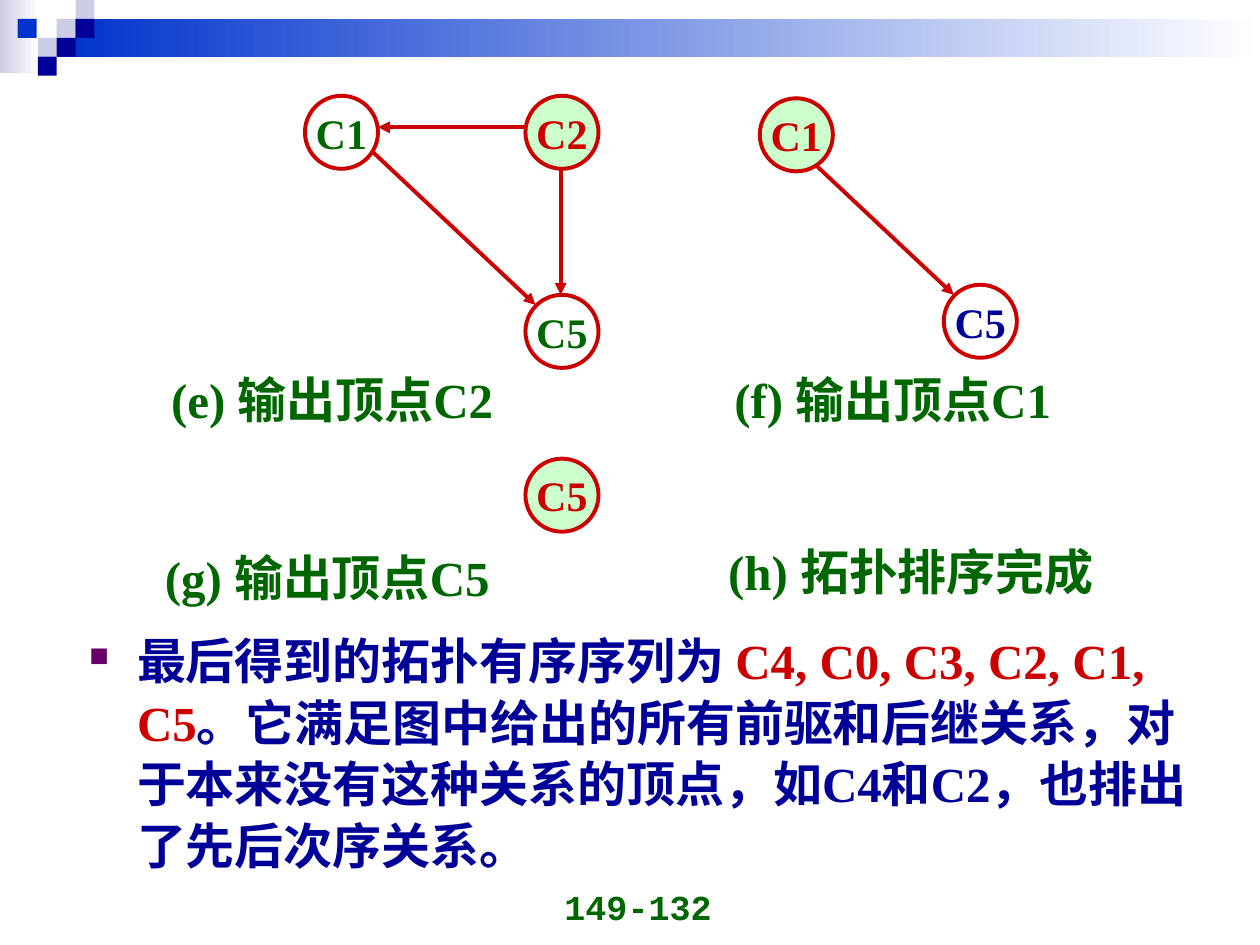
from dataclasses import dataclass

from lxml.etree import SubElement
from pptx import Presentation
from pptx.dml.color import RGBColor
from pptx.enum.shapes import MSO_CONNECTOR, MSO_SHAPE
from pptx.enum.text import MSO_ANCHOR, MSO_AUTO_SIZE, PP_ALIGN
from pptx.oxml.ns import qn
from pptx.util import Inches, Pt


@dataclass(frozen=True)
class Theme:
    white: str = "FFFFFF"
    lavender: str = "CCCCE6"
    blue: str = "0033CC"
    navy: str = "000099"
    green: str = "006600"
    mint: str = "CCFFCC"
    red: str = "CC0000"
    purple: str = "660066"
    serif: str = "Times New Roman"
    mono: str = "Courier New"
    page_size: int = 20
    vertex_size: int = 24
    text_size: int = 28
    line_width: float = 2.25


@dataclass(frozen=True)
class Tile:
    left: float
    top: float
    color: str


@dataclass(frozen=True)
class Vertex:
    label: str
    left: float
    top: float
    color: str
    fill: str


@dataclass(frozen=True)
class Edge:
    start: tuple[float, float]
    end: tuple[float, float]


@dataclass(frozen=True)
class Caption:
    text: str
    left: float
    top: float
    width: float


THEME = Theme()
TILE_SIDE = 0.15
VERTEX_DIAMETER = 0.58

TILES = [
    Tile(0.45, 0.15, THEME.lavender),
    Tile(0.6, 0, THEME.lavender),
    Tile(0.6, 0.15, THEME.navy),
    Tile(0.3, 0.3, THEME.lavender),
    Tile(0.14, 0.15, THEME.blue),
    Tile(0.45, 0.3, THEME.navy),
    Tile(0.3, 0.45, THEME.navy),
]
EDGES = [
    Edge((4.17, 1.01), (3, 1.01)),
    Edge((4.45, 1.34), (4.45, 2.34)),
    Edge((2.92, 1.17), (4.25, 2.42)),
    Edge((6.24, 1.09), (7.57, 2.34)),
]
VERTICES = [
    Vertex("C1", 2.42, 0.76, THEME.green, THEME.white),
    Vertex("C2", 4.17, 0.76, THEME.red, THEME.mint),
    Vertex("C5", 4.17, 2.34, THEME.green, THEME.white),
    Vertex("C5", 7.49, 2.26, THEME.navy, THEME.white),
    Vertex("C1", 6.03, 0.78, THEME.red, THEME.mint),
    Vertex("C5", 4.17, 3.64, THEME.red, THEME.mint),
]
CAPTIONS = [
    Caption("(e) 输出顶点C2", 1.26, 2.88, 2.96),
    Caption("(f) 输出顶点C1", 5.73, 2.88, 2.92),
    Caption("(g) 输出顶点C5", 1.21, 4.3, 2.98),
    Caption("(h) 拓扑排序完成", 5.68, 4.25, 3.21),
]
CONCLUSION = [
    ("最后得到的拓扑有序序列为 ", THEME.navy),
    ("C4, C0, C3, C2, C1, C5", THEME.red),
    ("。它满足图中给出的所有前驱和后继关系，对于本来没有这种关系的顶点，"
     "如C4和C2，也排出了先后次序关系。", THEME.navy),
]


def add_run(paragraph, text: str, size: int, color: str, font_name: str = THEME.serif) -> None:
    run = paragraph.add_run()
    run.text = text
    run.font.size = Pt(size)
    run.font.name = font_name
    run.font.bold = True
    run.font.color.rgb = RGBColor.from_string(color)


def add_plain_shape(slide, kind, left: float, top: float, width: float, height: float):
    shape = slide.shapes.add_shape(
        kind, Inches(left), Inches(top), Inches(width), Inches(height))
    shape.shadow.inherit = False
    shape.line.fill.background()
    return shape


def add_fade(slide, left: float, top: float, width: float, height: float, color: str) -> None:
    shape = add_plain_shape(slide, MSO_SHAPE.RECTANGLE, left, top, width, height)
    shape.fill.gradient()
    shape.fill.gradient_angle = 0
    for stop, position, stop_color in zip(
            shape.fill.gradient_stops, (0, 1), (color, THEME.white)):
        stop.position = position
        stop.color.rgb = RGBColor.from_string(stop_color)


def add_tile(slide, tile: Tile) -> None:
    shape = add_plain_shape(
        slide, MSO_SHAPE.RECTANGLE, tile.left, tile.top, TILE_SIDE, TILE_SIDE)
    shape.fill.solid()
    shape.fill.fore_color.rgb = RGBColor.from_string(tile.color)


def style_line(line) -> None:
    line.color.rgb = RGBColor.from_string(THEME.red)
    line.width = Pt(THEME.line_width)


def add_edge(slide, edge: Edge) -> None:
    connector = slide.shapes.add_connector(
        MSO_CONNECTOR.STRAIGHT, *map(Inches, edge.start + edge.end))
    style_line(connector.line)
    properties = connector._element.spPr
    SubElement(properties.find(qn("a:ln")), qn("a:tailEnd"), type="triangle")
    SubElement(properties, qn("a:effectLst"))


def add_vertex(slide, vertex: Vertex) -> None:
    shape = add_plain_shape(slide, MSO_SHAPE.OVAL, vertex.left, vertex.top,
                            VERTEX_DIAMETER, VERTEX_DIAMETER)
    shape.fill.solid()
    shape.fill.fore_color.rgb = RGBColor.from_string(vertex.fill)
    style_line(shape.line)
    frame = shape.text_frame
    frame.word_wrap = False
    frame.vertical_anchor = MSO_ANCHOR.MIDDLE
    frame.paragraphs[0].alignment = PP_ALIGN.CENTER
    add_run(frame.paragraphs[0], vertex.label, THEME.vertex_size, vertex.color)


def add_text_frame(slide, left: float, top: float, width: float, height: float, wrap: bool):
    box = slide.shapes.add_textbox(Inches(left), Inches(top), Inches(width), Inches(height))
    box.text_frame.word_wrap = wrap
    return box.text_frame


def add_caption(slide, caption: Caption) -> None:
    frame = add_text_frame(slide, caption.left, caption.top, caption.width, 0.57, False)
    frame.auto_size = MSO_AUTO_SIZE.SHAPE_TO_FIT_TEXT
    add_run(frame.paragraphs[0], caption.text, THEME.text_size, THEME.green)


def add_conclusion(slide) -> None:
    paragraph = add_text_frame(slide, 0.61, 4.93, 9, 2.24, True).paragraphs[0]
    properties = paragraph._p.get_or_add_pPr()
    properties.set("marL", str(Inches(0.38)))
    properties.set("indent", str(Inches(-0.38)))
    bullet_color = SubElement(properties, qn("a:buClr"))
    SubElement(bullet_color, qn("a:srgbClr"), val=THEME.purple)
    SubElement(properties, qn("a:buSzPct"), val="55000")
    SubElement(properties, qn("a:buChar"), char="■")
    paragraph.line_spacing = 1.05
    for text, color in CONCLUSION:
        add_run(paragraph, text, THEME.text_size, color)


def add_page_number(slide) -> None:
    frame = add_text_frame(slide, 3.9, 6.91, 2.33, 0.5, True)
    frame.vertical_anchor = MSO_ANCHOR.BOTTOM
    frame.paragraphs[0].alignment = PP_ALIGN.CENTER
    add_run(frame.paragraphs[0], "149-132", THEME.page_size, THEME.green, THEME.mono)


def main() -> None:
    presentation = Presentation()
    presentation.slide_width, presentation.slide_height = Inches(10), Inches(7.5)
    slide = presentation.slides.add_slide(presentation.slide_layouts[6])
    add_fade(slide, 0, 0, 0.31, 0.58, THEME.lavender)
    add_fade(slide, 0.45, 0.15, 9.55, 0.3, THEME.blue)
    for draw, items in ((add_tile, TILES), (add_edge, EDGES),
                        (add_vertex, VERTICES), (add_caption, CAPTIONS)):
        for item in items:
            draw(slide, item)
    add_conclusion(slide)
    add_page_number(slide)
    presentation.save("out.pptx")


if __name__ == "__main__":
    main()
